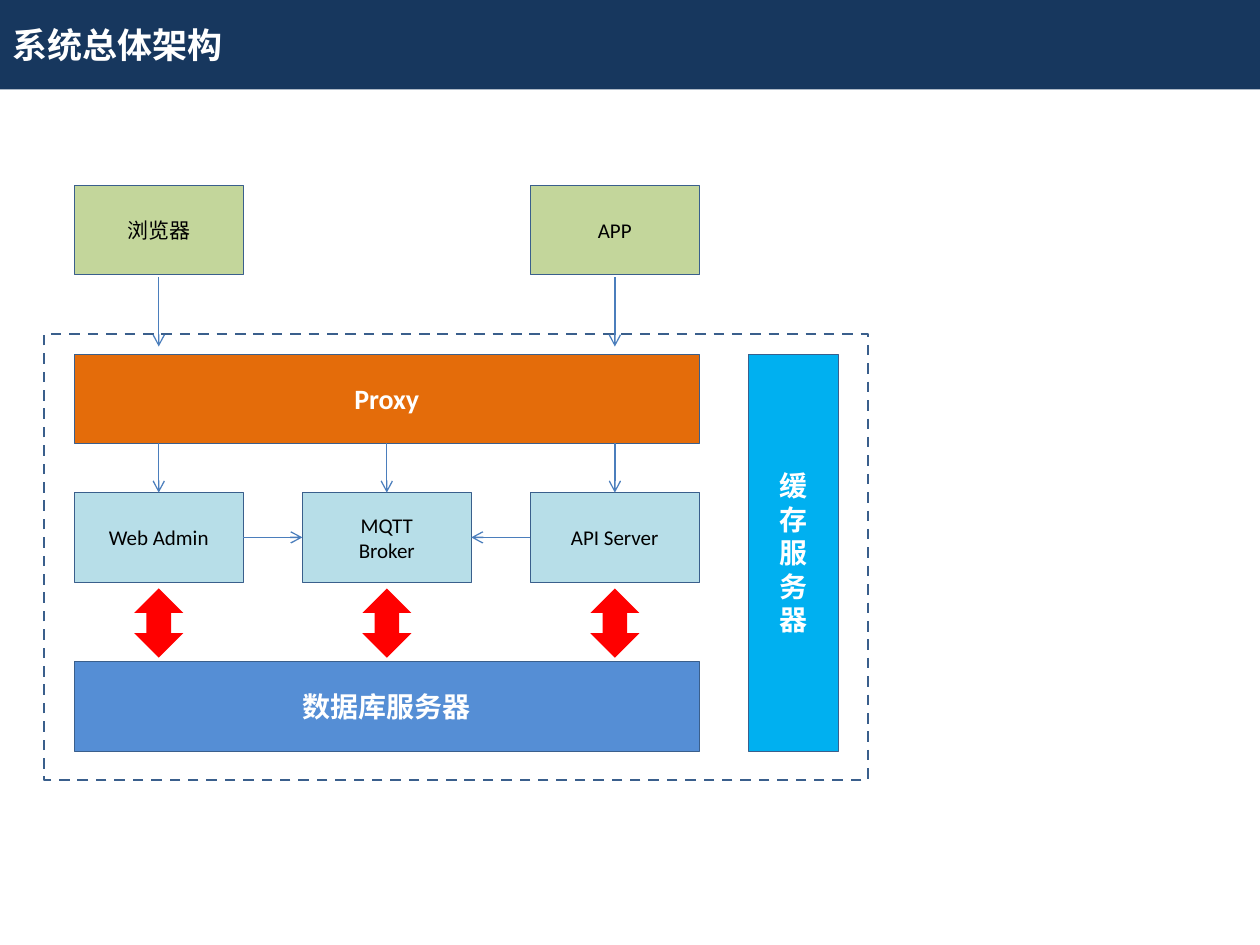
from pptx import Presentation
from pptx.dml.color import RGBColor
from pptx.enum.dml import MSO_LINE
from pptx.enum.shapes import MSO_CONNECTOR, MSO_SHAPE
from pptx.enum.text import MSO_ANCHOR, PP_ALIGN
from pptx.oxml.ns import qn
from pptx.util import Inches, Pt
from lxml.etree import SubElement

deck = Presentation()
deck.slide_width, deck.slide_height = Inches(10), Inches(7.5)
slide = deck.slides.add_slide(deck.slide_layouts[6])
shapes = slide.shapes


def rgb(code):
    return RGBColor.from_string(code)


def box(text, x, y, w, h, fill=None, line="3A5F8C", width=0.25, size=12,
        color="000000", bold=False, align=PP_ALIGN.CENTER, kind=MSO_SHAPE.RECTANGLE):
    item = shapes.add_shape(kind, Inches(x), Inches(y), Inches(w), Inches(h))
    item.shadow.inherit = False
    if fill:
        item.fill.solid()
        item.fill.fore_color.rgb = rgb(fill)
    else:
        item.fill.background()
    if line:
        item.line.color.rgb = rgb(line)
        item.line.width = Pt(width)
    else:
        item.line.fill.background()
    frame = item.text_frame
    frame.word_wrap = True
    frame.vertical_anchor = MSO_ANCHOR.MIDDLE
    frame.text = text
    for para in frame.paragraphs:
        para.alignment = align
        for run in para.runs:
            font = run.font
            font.name, font.size, font.bold = "Calibri", Pt(size), bold
            font.color.rgb = rgb(color)
    return item


left, step, wide, high = 0.59, 1.81, 1.34, 0.71
cols = [left + step * i for i in range(3)]
mids = [col + wide / 2 for col in cols]
full = 2 * step + wide
top, proxy, apps, data = 1.47, 2.81, 3.91, 5.25
mid = apps + high / 2
head = dict(size=16, color="FFFFFF", bold=True)

frame = box("", 0.35, 2.65, 6.54, 3.54, width=1.5)
frame.line.dash_style = MSO_LINE.DASH

box("系统总体架构", 0, 0, 10, high, "17375E", line=None, size=20,
    color="FFFFFF", bold=True, align=PP_ALIGN.LEFT)
box("浏览器", cols[0], top, wide, high, "C3D69B")
box("APP", cols[2], top, wide, high, "C3D69B")
box("Proxy", left, proxy, full, high, "E46C0A", **head)
box("数据库服务器", left, data, full, high, "558ED5", **head)
box("\n".join("缓存服务器"), 5.94, proxy, high, data + high - proxy, "00B0F0", **head)

for name, col, x in zip(["Web Admin", "MQTT\nBroker", "API Server"], cols, mids):
    box(name, col, apps, wide, high, "B7DEE8")
    box("", x - 0.195, 4.67, 0.39, 0.55, "FF0000", line=None,
        kind=MSO_SHAPE.UP_DOWN_ARROW)

links = [(x, proxy + high, x, apps) for x in mids]
links += [(x, 2.2, x, 2.75) for x in (mids[0], mids[2])]
links += [(cols[0] + wide, mid, cols[1], mid), (cols[2], mid, cols[1] + wide, mid)]
for ends in links:
    link = shapes.add_connector(MSO_CONNECTOR.STRAIGHT, *[Inches(end) for end in ends])
    link.line.color.rgb = rgb("4B7EBC")
    link.line.width = Pt(0.75)
    SubElement(link.line._get_or_add_ln(), qn("a:tailEnd"), type="arrow")
    SubElement(link._element.spPr, qn("a:effectLst"))

deck.save("out.pptx")
